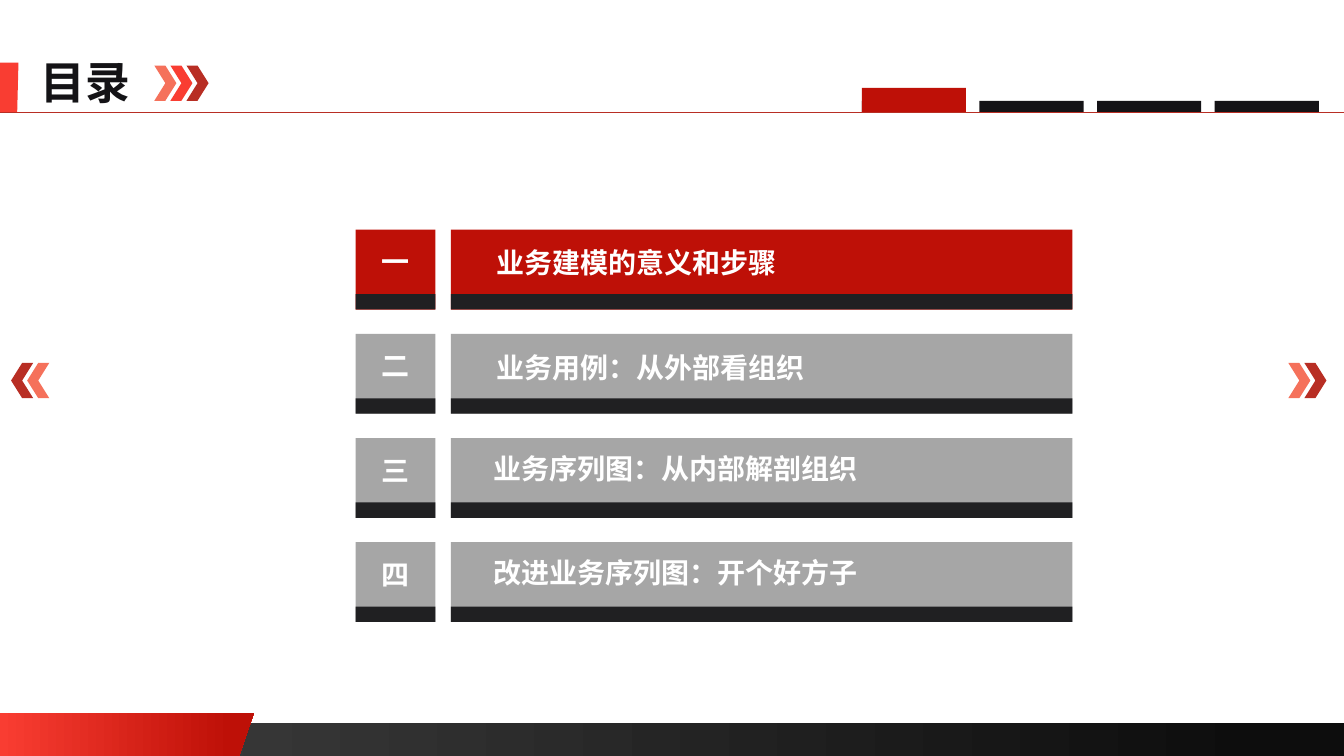
from pptx import Presentation
from pptx.dml.color import RGBColor
from pptx.enum.shapes import MSO_CONNECTOR, MSO_SHAPE
from pptx.enum.text import MSO_ANCHOR, MSO_AUTO_SIZE, PP_ALIGN
from pptx.oxml.ns import qn
from pptx.util import Pt
from lxml.etree import SubElement

WIDE, HIGH = 960, 540
FONT = "Noto Sans CJK SC"
WHITE = RGBColor(0xFF, 0xFF, 0xFF)
INK = RGBColor(0x14, 0x13, 0x16)
STRIP = RGBColor(0x20, 0x20, 0x22)
GREY = RGBColor(0xA6, 0xA6, 0xA6)
RED = RGBColor(0xBE, 0x10, 0x07)
BRIGHT = RGBColor(0xF9, 0x3D, 0x32)
CORAL = RGBColor(0xF5, 0x71, 0x5B)
BRICK = RGBColor(0xB8, 0x2E, 0x24)
SLATE = RGBColor(0x40, 0x40, 0x40)
NIGHT = RGBColor(0x0D, 0x0D, 0x0D)

# Number, heading, left and top of the heading
ITEMS = [
    ("一", "业务建模的意义和步骤", 346.3, 172.1),
    ("二", "业务用例：从外部看组织", 346.3, 247),
    ("三", "业务序列图：从内部解剖组织", 344.2, 319),
    ("四", "改进业务序列图：开个好方子", 344.2, 393.1),
]


def paint(shape, *tones, end=1):
    """Fill with one colour, or with two as a left-to-right gradient."""
    shape.shadow.inherit = False
    shape.line.fill.background()
    if len(tones) == 1:
        shape.fill.solid()
        shape.fill.fore_color.rgb = tones[0]
        return
    shape.fill.gradient()
    shape.fill.gradient_angle = 0
    for stop, tone, place in zip(shape.fill.gradient_stops, tones, (0, end)):
        stop.color.rgb = tone
        stop.position = place


def block(shapes, box, *tones, kind=MSO_SHAPE.RECTANGLE, end=1):
    shape = shapes.add_shape(kind, *map(Pt, box))
    paint(shape, *tones, end=end)
    return shape


def outline(shapes, points, *tones, end=1):
    first, *rest = [(Pt(x), Pt(y)) for x, y in points]
    path = shapes.build_freeform(*first)
    path.add_line_segments(rest)
    paint(path.convert_to_shape(), *tones, end=end)


def write(shape, text, size=20, color=WHITE, align=PP_ALIGN.CENTER):
    frame = shape.text_frame
    frame.word_wrap = False
    frame.auto_size = MSO_AUTO_SIZE.SHAPE_TO_FIT_TEXT
    frame.vertical_anchor = MSO_ANCHOR.TOP
    para = frame.paragraphs[0]
    para.alignment = align
    run = para.add_run()
    run.text = text
    font = run.font
    font.size, font.bold, font.name = Pt(size), True, FONT
    font.color.rgb = color
    SubElement(run._r.get_or_add_rPr(), qn("a:ea")).set("typeface", FONT)


def label(shapes, box, text):
    write(shapes.add_textbox(*map(Pt, box)), text)


def arrows(shapes, left, top, tones, step=11.5, turn=0):
    group = shapes.add_group_shape().shapes
    for i, tone in enumerate(tones):
        mark = block(group, (left + i * step, top, 15.8, 25.2), tone,
                     kind=MSO_SHAPE.CHEVRON)
        mark.rotation = turn


def rule(shapes, y):
    line = shapes.add_connector(MSO_CONNECTOR.STRAIGHT, 0, Pt(y), Pt(WIDE), Pt(y))
    line.line.color.rgb = BRICK
    line.line.width = Pt(0.5)
    SubElement(line._element.spPr, qn("a:effectLst"))


def entry(shapes, top, mark, tone):
    group = shapes.add_group_shape().shapes
    cols = ((254, 57), (322, 444))
    for drop, high, fill in ((0, 57, tone), (46, 11, STRIP)):
        for left, wide in cols:
            block(group, (left, top + drop, wide, high), fill)
    label(group, (264.9, top + 7.2, 34.6, 31.5), mark)


def main():
    deck = Presentation()
    deck.slide_width, deck.slide_height = Pt(WIDE), Pt(HIGH)
    slide = deck.slides.add_slide(deck.slide_layouts[5])
    slide.background.fill.solid()
    slide.background.fill.fore_color.rgb = WHITE
    shapes = slide.shapes

    # Footer band and header tab
    block(shapes, (0, 516.4, WIDE, 23.6), SLATE, NIGHT, end=0.94)
    outline(shapes, [(0, 509.2), (181.4, 509.2), (170.8, HIGH), (0, HIGH)],
            BRIGHT, RED, end=0.91)
    outline(shapes, [(0, 44.8), (13.2, 44.8), (12.3, 80.3), (0, 80.3)], BRIGHT)

    # Title
    title = shapes.title
    title.left, title.top, title.width, title.height = map(Pt, (21.6, 35.3, 79.2, 46))
    write(title, "目录", size=32, color=INK, align=PP_ALIGN.LEFT)
    rule(shapes, 80.1)

    # Chevrons
    arrows(shapes, 110.2, 46.8, (CORAL, BRIGHT, BRICK))
    arrows(shapes, 920.2, 259.2, (CORAL, BRICK))
    arrows(shapes, 19.4, 259.2, (CORAL, BRICK), step=-11.5, turn=180)

    # Progress tabs, the first one active
    for i in range(len(ITEMS)):
        block(shapes, (615.6 + 84 * i, 72, 74.4, 8), INK)
    block(shapes, (615.6, 62.8, 74.4, 17.2), RED)

    # Agenda
    for i, (mark, text, left, top) in enumerate(ITEMS):
        entry(shapes, 164.1 + 74.4 * i, mark, GREY if i else RED)
        label(shapes, (left, top, 20 * len(text) + 17, 31.5), text)

    deck.save("out.pptx")


if __name__ == "__main__":
    main()
